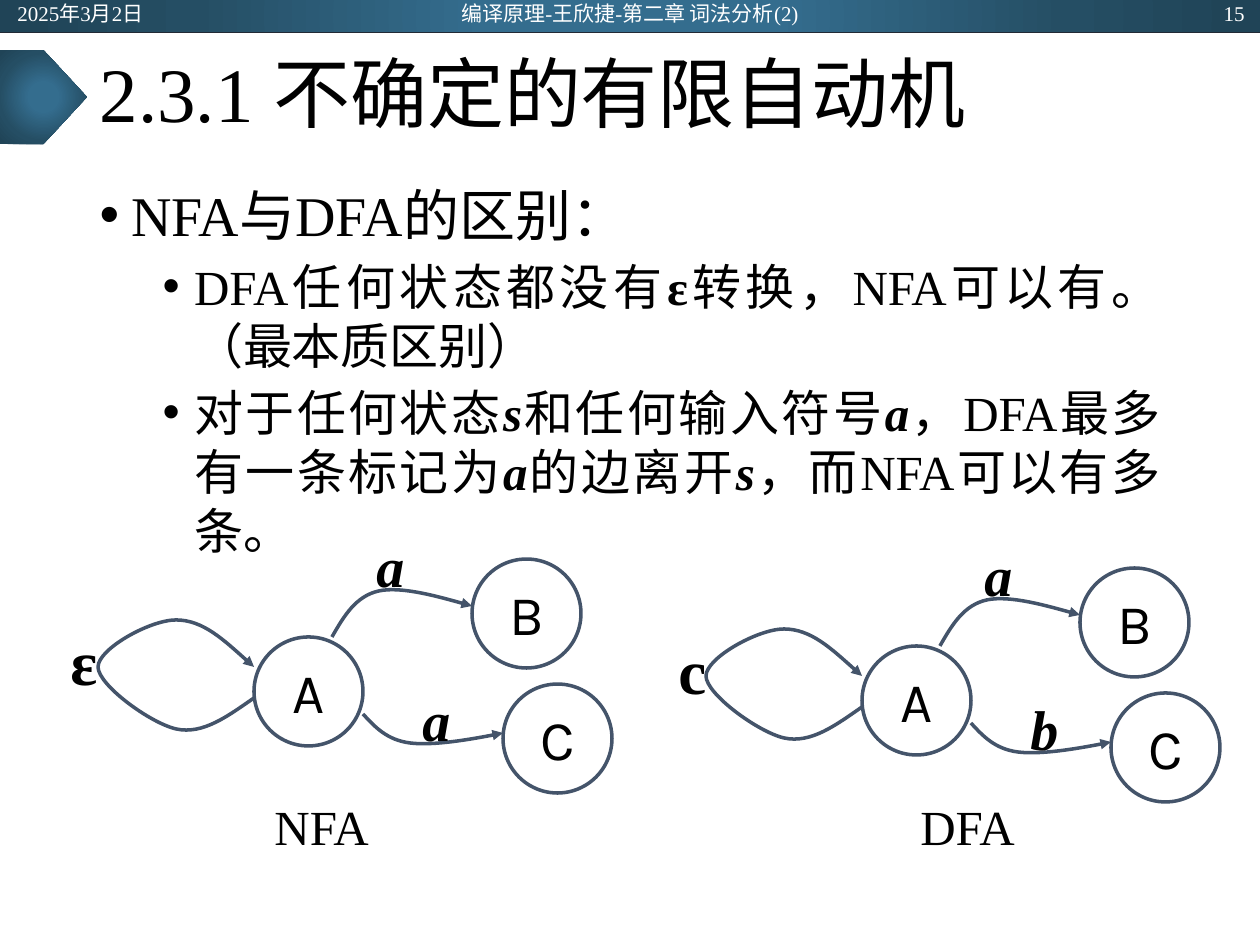
from dataclasses import dataclass

import pptx
import pptx.dml.color
import pptx.enum.shapes
import pptx.enum.text
import pptx.oxml
import pptx.oxml.ns
import pptx.util
from lxml import etree

EMU_PER_PX = 914400 / 126
SERIF = "Times New Roman"
BLACK = pptx.dml.color.RGBColor(0x00, 0x00, 0x00)
WHITE = pptx.dml.color.RGBColor(0xFF, 0xFF, 0xFF)
SLATE = pptx.dml.color.RGBColor(0x44, 0x54, 0x6A)
NAVY = pptx.dml.color.RGBColor(0x22, 0x2A, 0x35)
GRADIENT_STOPS = (
    (0, pptx.dml.color.RGBColor(0x34, 0x6D, 0x8E)),
    (23, pptx.dml.color.RGBColor(0x34, 0x6D, 0x8E)),
    (69, pptx.dml.color.RGBColor(0x25, 0x4E, 0x64)),
    (97, pptx.dml.color.RGBColor(0x20, 0x44, 0x57)),
)
ALIGN = pptx.enum.text.PP_ALIGN
ANCHOR = pptx.enum.text.MSO_ANCHOR
SHAPE = pptx.enum.shapes.MSO_SHAPE
qn = pptx.oxml.ns.qn


@dataclass(frozen=True)
class Box:
    left: int
    top: int
    width: int
    height: int

    def emu(self, dx: int = 0, dy: int = 0) -> list:
        return [px(self.left + dx), px(self.top + dy), px(self.width), px(self.height)]


@dataclass(frozen=True)
class Automaton:
    caption: str
    caption_box: Box
    loop_label: str
    upper_label: str
    lower_label: str
    dx: int
    dy: int


STATES = {"A": Box(254, 637, 109, 109), "B": Box(472, 559, 109, 109),
          "C": Box(503, 684, 109, 109)}
# Each edge is a start point followed by three points per Bézier segment
EDGES = (
    ((332, 637), (344, 616), (356, 596), (379, 591), (402, 586), (454, 601), (472, 606)),
    ((363, 714), (375, 727), (387, 740), (410, 743), (433, 746), (485, 737), (503, 733)),
    ((254, 698), (228, 716), (203, 735), (176, 729), (150, 723), (98, 685), (98, 667),
     (98, 649), (150, 620), (176, 620), (203, 620), (228, 644), (254, 667)),
)
UPPER_LABEL = Box(364, 525, 38, 81)
LOWER_LABEL = Box(410, 679, 38, 81)
LOOP_LABEL = Box(58, 619, 39, 82)
AUTOMATA = (
    Automaton("NFA", Box(262, 790, 121, 72), "ε", "a", "a", 0, 0),
    Automaton("DFA", Box(908, 790, 121, 72), "c", "a", "b", 608, 9),
)
# Body paragraphs: level, then runs of (text, bold, italic)
BODY = (
    (0, (("NFA与DFA的区别：", False, False),)),
    (1, (("DFA任何状态都没有", False, False), ("ε", True, False),
         ("转换，NFA可以有。（最本质区别）", False, False))),
    (1, (("对于任何状态", False, False), ("s", True, True),
         ("和任何输入符号", False, False), ("a", True, True),
         ("，DFA最多有一条标记为", False, False), ("a", True, True),
         ("的边离开", False, False), ("s", True, True),
         ("，而NFA可以有多条。", False, False))),
)


def px(value: float) -> pptx.util.Emu:
    return pptx.util.Emu(round(value * EMU_PER_PX))


def add_run(paragraph, text: str, *, size: int, font: str = SERIF, color=BLACK,
            bold: bool = False, italic: bool = False) -> None:
    run = paragraph.add_run()
    run.text = text
    run.font.size = pptx.util.Pt(size)
    run.font.name = font
    run.font.color.rgb = color
    run.font.bold = bold
    run.font.italic = italic


def add_text(shapes, text: str, place: list, *, align=ALIGN.CENTER,
             anchor=ANCHOR.MIDDLE, wrap: bool = False, **run_format) -> None:
    frame = shapes.add_textbox(*place).text_frame
    frame.word_wrap = wrap
    frame.vertical_anchor = anchor
    frame.paragraphs[0].alignment = align
    add_run(frame.paragraphs[0], text, **run_format)


def add_gradient_shape(shapes, kind, box: Box) -> None:
    shape = shapes.add_shape(kind, *box.emu())
    shape.shadow.inherit = False
    shape.line.fill.background()
    shape.fill.background()
    stops = "".join(f'<a:gs pos="{position * 1000}"><a:srgbClr val="{color}"/></a:gs>'
                    for position, color in GRADIENT_STOPS)
    gradient = pptx.oxml.parse_xml(
        f'<a:gradFill {pptx.oxml.ns.nsdecls("a")} rotWithShape="1"><a:gsLst>{stops}</a:gsLst>'
        '<a:path path="circle"><a:fillToRect l="50000" t="50000" r="50000" b="50000"/>'
        '</a:path></a:gradFill>')
    properties = shape._element.spPr
    properties.replace(properties.find(qn("a:noFill")), gradient)


def style_outline(shape) -> None:
    shape.shadow.inherit = False
    shape.fill.background()
    shape.line.color.rgb = SLATE
    shape.line.width = pptx.util.Pt(2)


def add_state(shapes, name: str, place: list) -> None:
    state = shapes.add_shape(SHAPE.OVAL, *place)
    style_outline(state)
    frame = state.text_frame
    frame.word_wrap = False
    frame.vertical_anchor = ANCHOR.MIDDLE
    frame.paragraphs[0].alignment = ALIGN.CENTER
    add_run(frame.paragraphs[0], name, size=32, font="Karla")


def add_edge(shapes, points: tuple, dx: int, dy: int) -> None:
    moved = [(x + dx, y + dy) for x, y in points]
    builder = shapes.build_freeform(*moved[0], scale=EMU_PER_PX)
    builder.add_line_segments(moved[1:], close=False)
    edge = builder.convert_to_shape()
    style_outline(edge)
    # Gather every three line points into one cubic segment
    outline = next(edge._element.iter(qn("a:path")))
    segments = outline.findall(qn("a:lnTo"))
    for first in range(0, len(segments), 3):
        curve = etree.SubElement(outline, qn("a:cubicBezTo"))
        for segment in segments[first:first + 3]:
            curve.append(segment[0])
            outline.remove(segment)
    etree.SubElement(edge.line._get_or_add_ln(), qn("a:tailEnd"), type="triangle")


def add_automaton(slide, automaton: Automaton) -> None:
    shapes = slide.shapes.add_group_shape().shapes
    offset = automaton.dx, automaton.dy
    for name, box in STATES.items():
        add_state(shapes, name, box.emu(*offset))
    for points in EDGES:
        add_edge(shapes, points, *offset)
    for text, box in ((automaton.upper_label, UPPER_LABEL),
                      (automaton.lower_label, LOWER_LABEL)):
        add_text(shapes, text, box.emu(*offset), size=32, bold=True, italic=True)
    add_text(shapes, automaton.loop_label, LOOP_LABEL.emu(*offset), size=36, bold=True)
    add_text(slide.shapes, automaton.caption, automaton.caption_box.emu(), size=28,
             align=ALIGN.LEFT, anchor=ANCHOR.TOP)


def place_placeholder(shape, box: Box, anchor):
    shape.left, shape.top, shape.width, shape.height = box.emu()
    frame = shape.text_frame
    frame.auto_size = pptx.enum.text.MSO_AUTO_SIZE.NONE
    frame.word_wrap = True
    frame.vertical_anchor = anchor
    return frame


def fill_body(frame) -> None:
    for index, (level, runs) in enumerate(BODY):
        paragraph = frame.add_paragraph() if index else frame.paragraphs[0]
        paragraph.level = level
        properties = paragraph._p.get_or_add_pPr()
        properties.set("marL", str(pptx.util.Inches(0.25 + 0.5 * level)))
        properties.set("indent", str(pptx.util.Inches(-0.25)))
        etree.SubElement(properties, qn("a:buFont"), typeface="Arial")
        etree.SubElement(properties, qn("a:buChar"), char="•")
        paragraph.alignment = ALIGN.JUSTIFY
        paragraph.space_before = pptx.util.Pt(5 if index else 0)
        for text, bold, italic in runs:
            add_run(paragraph, text, size=32 - 4 * level, bold=bold, italic=italic)


def main() -> None:
    presentation = pptx.Presentation()
    presentation.slide_width = px(1260)
    presentation.slide_height = px(945)
    slide = presentation.slides.add_slide(presentation.slide_layouts[1])

    # Header band and title marker
    add_gradient_shape(slide.shapes, SHAPE.RECTANGLE, Box(0, 0, 1260, 32))
    rule = slide.shapes.add_connector(pptx.enum.shapes.MSO_CONNECTOR.STRAIGHT,
                                      px(0), px(32), px(1260), px(32))
    rule.line.color.rgb = NAVY
    rule.line.width = pptx.util.Pt(0.5)
    etree.SubElement(rule._element.spPr, qn("a:effectLst"))
    add_gradient_shape(slide.shapes, SHAPE.PENTAGON, Box(0, 50, 87, 94))
    for text, box, align in (
            ("2025年3月2日", Box(5, 1, 284, 25), ALIGN.LEFT),
            ("编译原理-王欣捷-第二章 词法分析(2)", Box(417, 1, 426, 25), ALIGN.CENTER),
            ("15", Box(973, 1, 284, 25), ALIGN.RIGHT)):
        add_text(slide.shapes, text, box.emu(), size=12, color=WHITE, align=align, wrap=True)

    # Title and list
    title = place_placeholder(slide.shapes.title, Box(87, 32, 1086, 131), ANCHOR.MIDDLE)
    title.paragraphs[0].alignment = ALIGN.LEFT
    title.paragraphs[0].line_spacing = 0.9
    add_run(title.paragraphs[0], "2.3.1 不确定的有限自动机", size=44)
    fill_body(place_placeholder(slide.placeholders[1], Box(87, 174, 1086, 678), ANCHOR.TOP))

    # State diagrams
    for automaton in AUTOMATA:
        add_automaton(slide, automaton)
    presentation.save("out.pptx")


if __name__ == "__main__":
    main()
